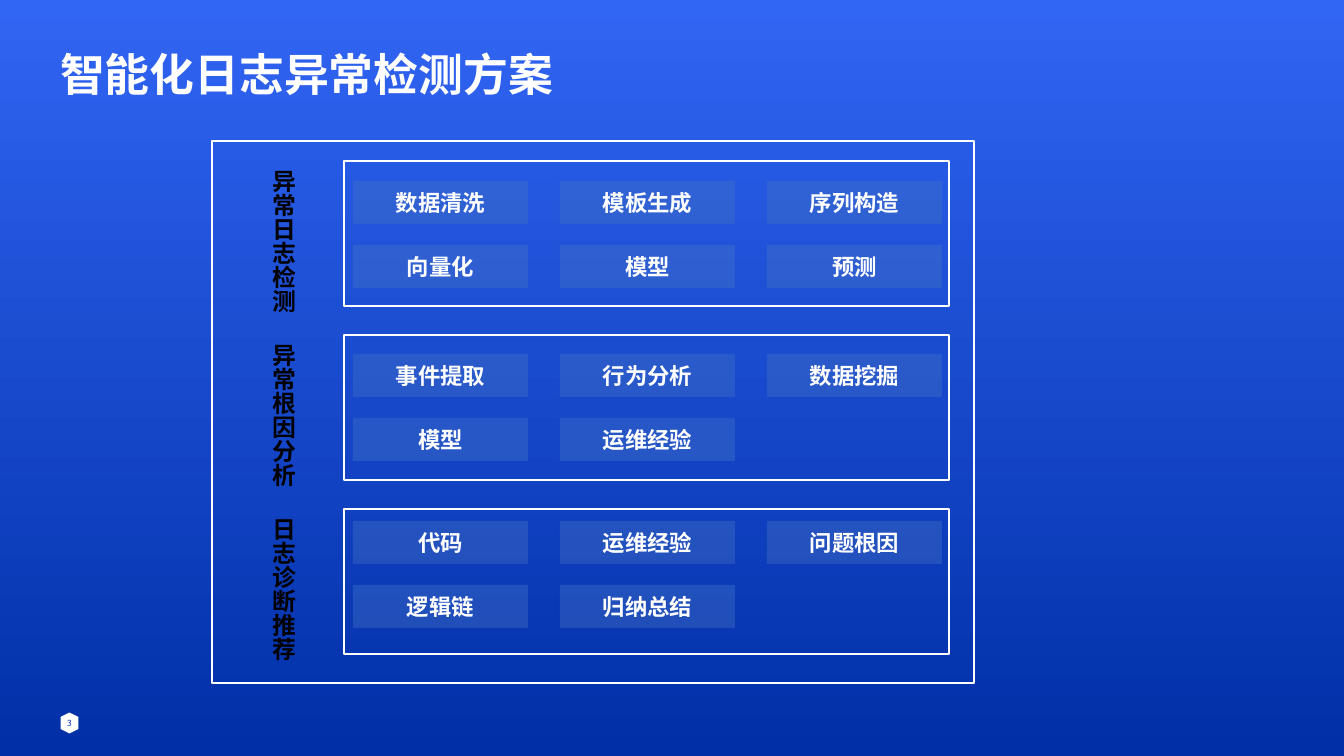
from pptx import Presentation
from pptx.dml.color import RGBColor
from pptx.enum.shapes import MSO_SHAPE as Shape
from pptx.enum.text import MSO_ANCHOR as Anchor, MSO_AUTO_SIZE as AutoSize, PP_ALIGN as Align
from pptx.oxml.ns import qn
from pptx.util import Emu, Pt
from lxml.etree import SubElement

TITLE = "智能化日志异常检测方案"
PAGE_NUMBER = "3"
STAGES = [
    ("异常日志检测", 181, ["数据清洗", "模板生成", "序列构造", "向量化", "模型", "预测"]),
    ("异常根因分析", 354, ["事件提取", "行为分析", "数据挖掘", "模型", "运维经验"]),
    ("日志诊断推荐", 521, ["代码", "运维经验", "问题根因", "逻辑链", "归纳总结"]),
]
COLORS = {"white": "FFFFFF", "black": "000000", "chip": "4472C4",
          "sky": "3165F3", "navy": "002FA7"}
CJK = "Noto Sans CJK SC"
EMU_PER_PX = 914400 / 100.8
COLUMNS = 3
STAGE_TOP, STAGE_PITCH = 160, 174
CHIP_LEFT, CHIP_PITCH_X, CHIP_PITCH_Y = 353, 207, 64


def px(*lengths):
    return [Emu(round(length * EMU_PER_PX)) for length in lengths]


def color(name):
    return RGBColor.from_string(COLORS[name])


def write(box, text, size, tint="white", font=CJK, bold=True,
          align=Align.CENTER, anchor=Anchor.MIDDLE, wrap=True):
    frame = box.text_frame
    frame.word_wrap = wrap
    frame.vertical_anchor = anchor
    para = frame.paragraphs[0]
    para.alignment = align
    span = para.add_run()
    span.text = text
    span.font.size = Pt(size)
    span.font.bold = bold
    span.font.name = font
    span.font.color.rgb = color(tint)
    props = span.font._element
    props.set("lang", "zh-CN")
    SubElement(props, qn("a:ea")).set("typeface", font)


def add_box(page, place, kind=Shape.RECTANGLE, fill=None, alpha=None, line=None):
    box = page.shapes.add_shape(kind, *px(*place))
    box.shadow.inherit = False
    if fill:
        box.fill.solid()
        box.fill.fore_color.rgb = color(fill)
    else:
        box.fill.background()
    if alpha:
        tint = box.fill._xPr.find(qn("a:solidFill"))[0]
        SubElement(tint, qn("a:alpha")).set("val", str(alpha * 1000))
    if line:
        box.line.color.rgb = color(line)
        box.line.width = Pt(1.5)
    else:
        box.line.fill.background()
    return box


def add_stage(page, top, label, chip_top, chips):
    heading = page.shapes.add_textbox(*px(254, top, 49, 154))
    write(heading, label, 17, tint="black", align=Align.LEFT, anchor=Anchor.TOP, wrap=False)
    heading.text_frame.auto_size = AutoSize.SHAPE_TO_FIT_TEXT
    heading.text_frame._txBody.bodyPr.set("vert", "eaVert")
    add_box(page, (344, top + 1, 605, 145), line="white")
    for index, text in enumerate(chips):
        row, column = divmod(index, COLUMNS)
        place = (CHIP_LEFT + column * CHIP_PITCH_X, chip_top + row * CHIP_PITCH_Y, 175, 43)
        write(add_box(page, place, fill="chip", alpha=40), text, 16)


def main():
    deck = Presentation()
    deck.slide_width, deck.slide_height = px(1344, 756)
    page = deck.slides.add_slide(deck.slide_layouts[5])

    backdrop = page.background.fill
    backdrop.gradient()
    backdrop.gradient_angle = 270
    for stop, name in zip(backdrop.gradient_stops, ("sky", "navy")):
        stop.color.rgb = color(name)

    title = page.shapes.title
    title.left, title.top, title.width, title.height = px(50, 38, 1244, 72)
    write(title, TITLE, 32, font="Arial", align=Align.LEFT)

    badge = add_box(page, (59, 714, 21, 18), kind=Shape.HEXAGON, fill="white")
    badge.rotation = 90
    number = page.shapes.add_textbox(*px(49, 703, 41, 40))
    write(number, PAGE_NUMBER, 6, tint="navy", bold=False)

    add_box(page, (212, 141, 762, 542), line="white")
    for index, (label, chip_top, chips) in enumerate(STAGES):
        add_stage(page, STAGE_TOP + index * STAGE_PITCH, label, chip_top, chips)

    deck.save("out.pptx")


if __name__ == "__main__":
    main()
